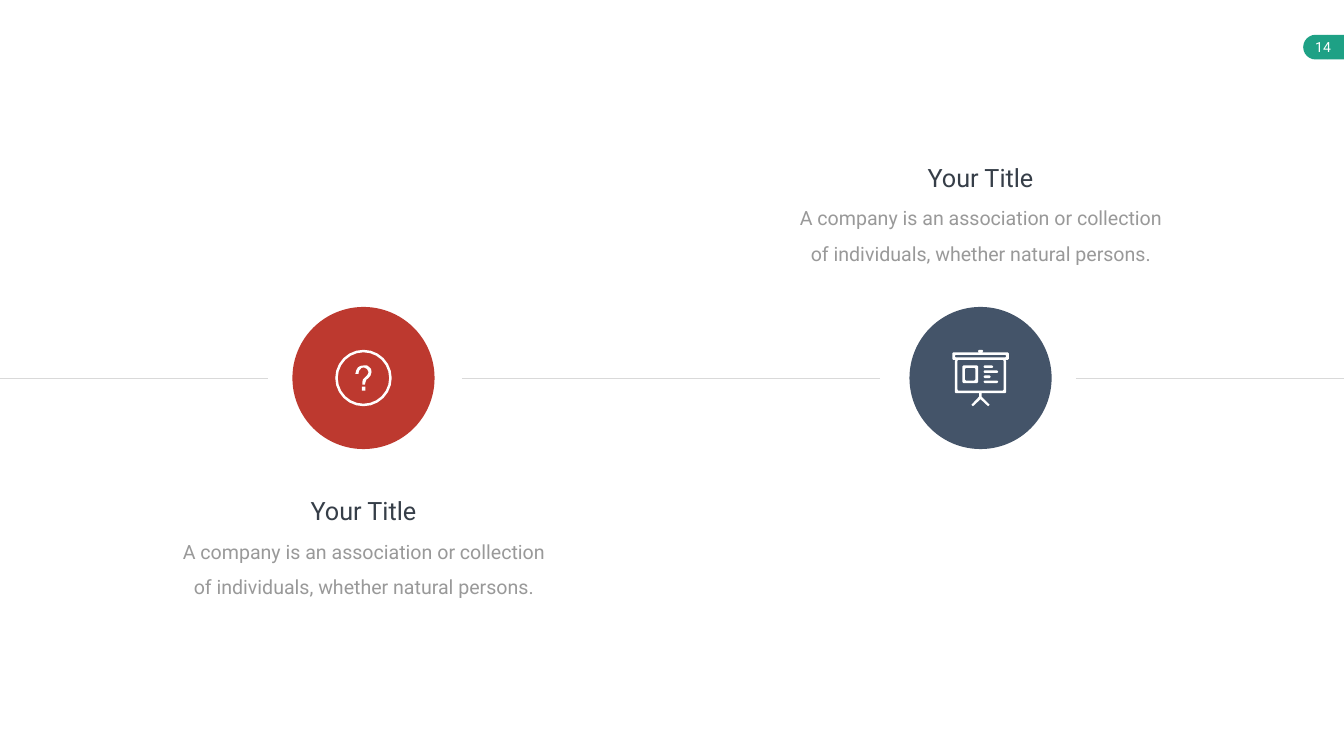
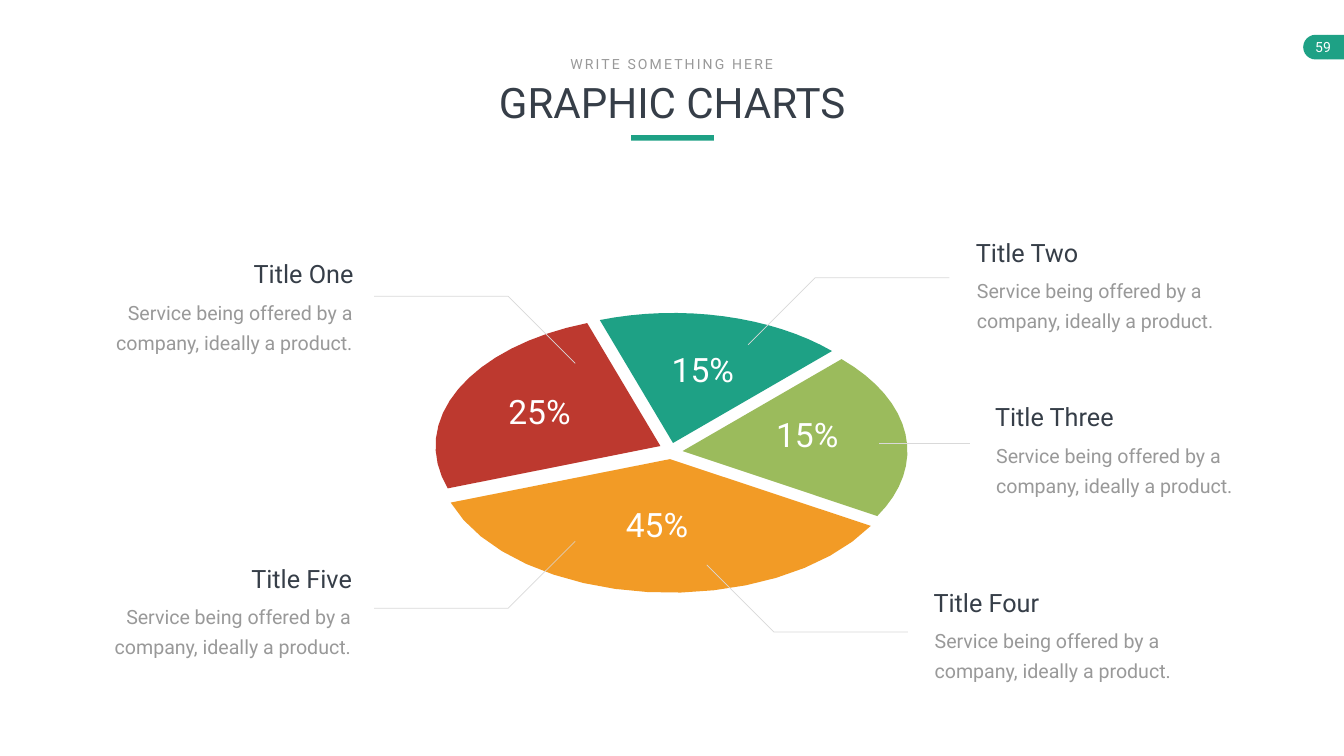
from math import cos, radians, sin

from pptx import Presentation
from pptx.dml.color import RGBColor
from pptx.enum.shapes import MSO_CONNECTOR, MSO_SHAPE as Shape
from pptx.enum.text import MSO_AUTO_SIZE as AutoSize, PP_ALIGN as Align
from pptx.oxml.ns import qn
from pptx.util import Inches, Pt
from lxml.etree import SubElement

# The grid has square cells of one inch; all places are columns and rows.
COLUMNS, ROWS = 26.66, 15
MIDDLE = ROWS / 2

GREEN, LIME, RED, ORANGE, SLATE = "1EA185", "9BBB5C", "BD392F", "F29B26", "445469"
INK, GREY, RULE, WHITE = "363E48", "999999", "D9D9D9", "FFFFFF"

BODY_INSETS = {"margin_left": Inches(0.24), "margin_right": Inches(0.24),
               "margin_top": Inches(0.12), "margin_bottom": Inches(0.12)}
PAGE_INSETS = {"margin_left": Inches(0.2), "margin_right": Inches(0.2),
               "margin_top": Inches(0.1), "margin_bottom": Inches(0.1)}

# Each style: size, colour, text frame values, paragraph values
STYLES = {
    "page number": (20, WHITE, {"word_wrap": False, **PAGE_INSETS}, {}),
    "headline": (60, INK, {}, {}),
    "kicker": (20, GREY, {"word_wrap": False}, {}),
    "title": (36, INK, {"word_wrap": False}, {}),
    "text": (28, GREY, {}, {"line_spacing": 1.5}),
    "callout": (28, GREY, BODY_INSETS, {"line_spacing": Pt(43)}),
    "share": (48, WHITE, {"word_wrap": False}, {}),
}


def paint(shape, fill=None, line=None):
    shape.shadow.inherit = False
    if fill:
        shape.fill.solid()
        shape.fill.fore_color.rgb = RGBColor.from_string(fill)
    else:
        shape.fill.background()
    if line:
        shape.line.color.rgb = RGBColor.from_string(line)
        shape.line.width = Pt(1)
    else:
        shape.line.fill.background()


def write(page, style, box, text, align=Align.CENTER):
    size, colour, frame_values, para_values = STYLES[style]
    frame = page.shapes.add_textbox(*map(Inches, box)).text_frame
    para = frame.paragraphs[0]
    span = para.add_run()
    span.text = text
    values = [
        (frame, {"word_wrap": True, "auto_size": AutoSize.SHAPE_TO_FIT_TEXT, **frame_values}),
        (para, {"alignment": align, **para_values}),
        (span.font, {"name": "Roboto", "size": Pt(size)}),
    ]
    for target, formats in values:
        for name, value in formats.items():
            setattr(target, name, value)
    span.font.color.rgb = RGBColor.from_string(colour)
    return span


deck = Presentation()
deck.slide_width, deck.slide_height = Inches(COLUMNS), Inches(ROWS)
timeline, pie = [deck.slides.add_slide(deck.slide_layouts[6]) for _ in range(2)]

# Page number tag at the right edge
for page, number in ((timeline, "14"), (pie, "59")):
    cap = page.shapes.add_shape(Shape.FLOWCHART_DELAY, *map(Inches, (25.85, 0.69, 0.49, 0.49)))
    cap.rotation = 180
    paint(cap, GREEN)
    tab = page.shapes.add_shape(Shape.RECTANGLE, *map(Inches, (26.34, 0.69, 0.32, 0.49)))
    paint(tab, GREEN)
    write(page, "page number", (25.79, 0.67, 0.91, 0.54), number)

# Straight lines: page, from, to, level, width
lines = [
    (timeline, 0, 5.32, MIDDLE, 0.5),
    (timeline, 9.16, 17.46, MIDDLE, 0.5),
    (timeline, 21.34, COLUMNS, MIDDLE, 0.5),
    (pie, 17.44, 19.25, 8.79, 1),
]

# Outlines: page, contours, fill, line colour
outlines = []

# Timeline icons, measured from the centre of their disc
question = [
    [(0.11, -0.22), (0.07, -0.25), (0.01, -0.25), (-0.06, -0.24), (-0.11, -0.21),
     (-0.14, -0.16), (-0.16, -0.09), (-0.16, -0.08), (-0.1, -0.08), (-0.09, -0.14),
     (-0.04, -0.2), (0.01, -0.21), (0.07, -0.18), (0.1, -0.12), (0.09, -0.08),
     (0.06, -0.04), (0.02, 0), (-0.01, 0.03), (-0.02, 0.07), (-0.02, 0.13),
     (0.03, 0.13), (0.04, 0.08), (0.06, 0.03), (0.1, 0), (0.14, -0.05),
     (0.16, -0.12), (0.15, -0.18), (0.11, -0.22)],
    [(-0.03, 0.17), (0.04, 0.17), (0.04, 0.25), (-0.03, 0.25), (-0.03, 0.17)],
]
for radius in (0.56, 0.51):
    question.append([(radius * cos(radians(angle)), radius * sin(radians(angle)))
                     for angle in (*range(0, 360, 15), 0)])

board = [[(-0.03, 0.3), (-0.03, 0.37), (-0.18, 0.53), (-0.15, 0.56), (0, 0.42),
          (0.15, 0.56), (0.18, 0.53), (0.02, 0.37), (0.02, 0.3), (-0.03, 0.3)]]
rail = [(-0.56, -0.51, 0.56, -0.36), (-0.51, -0.46, 0.51, -0.41), (-0.05, -0.56, 0.05, -0.51)]
screen = [(-0.51, -0.36, 0.51, 0.3), (-0.46, -0.36, 0.46, 0.25)]
panel = [(-0.36, -0.25, -0.05, 0.1), (-0.31, -0.2, -0.1, 0.05)]
notes = [(0.06, -0.25 + 0.1 * row, right, -0.2 + 0.1 * row)
         for row, right in enumerate((0.25, 0.35, 0.2, 0.35))]
CUT = 0.02
for left, top, right, bottom in rail + screen + panel + notes:
    board.append([(left + CUT, top), (right - CUT, top), (right, top + CUT),
                  (right, bottom - CUT), (right - CUT, bottom), (left + CUT, bottom),
                  (left, bottom - CUT), (left, top + CUT), (left + CUT, top)])

DISC = 2.82
steps = [(7.21, RED, question, 9.78), (19.45, SLATE, board, 3.17)]
for centre, colour, icon, top in steps:
    disc = timeline.shapes.add_shape(Shape.OVAL, Inches(centre - DISC / 2),
                                     Inches(MIDDLE - DISC / 2), Inches(DISC), Inches(DISC))
    paint(disc, colour)
    write(timeline, "text", (centre - 3.69, top + 0.64, 7.39, 1.43),
          "A company is an association or collection of individuals, whether natural persons.")
    write(timeline, "title", (centre - 1.19, top, 2.38, 0.71), "Your Title")
    contours = [[(centre + x, MIDDLE + y) for x, y in contour] for contour in icon]
    outlines.append((timeline, contours, WHITE, None))

# Pie: heading
underline = pie.shapes.add_shape(Shape.RECTANGLE, *map(Inches, (12.52, 2.68, 1.64, 0.11)))
paint(underline, GREEN)
write(pie, "headline", (7.1, 1.47, 12.47, 1.11), "GRAPHIC CHARTS")
kicker = write(pie, "kicker", (11.15, 1.05, 4.35, 0.44), "WRITE SOMETHING HERE")
kicker._r.get_or_add_rPr().set("spc", "300")

# Slices: tip, radii, angles from and to, colour
slices = [
    ((13.35, 8.79), (4.46, 2.58), (45, 109), GREEN),
    ((13.54, 8.95), (4.46, 2.58), (-30, 45), LIME),
    ((13.1, 8.85), (4.46, 2.58), (109, 199), RED),
    ((13.29, 9.11), (4.6, 2.65), (199, 330), ORANGE),
]
ARC_STEPS = 16
for (x, y), (wide, high), (start, end), colour in slices:
    angles = [radians(start + (end - start) * step / ARC_STEPS) for step in range(ARC_STEPS + 1)]
    arc = [(x + wide * cos(angle), y - high * sin(angle)) for angle in angles]
    outlines.append((pie, [[(x, y), *arc, (x, y)]], colour, None))

# Leaders run diagonally out of a slice and then level towards a callout
BEND = 1.33
leaders = [(14.84, 6.84, 1, -1), (11.41, 7.21, -1, -1),
           (14.02, 11.21, 1, 1), (11.41, 10.74, -1, 1)]
for x, y, across, down in leaders:
    level = y + BEND * down
    leader = [(x, y), (x + BEND * across, level), (x + 3 * BEND * across, level)]
    outlines.append((pie, [leader], None, RULE))

for page, contours, fill, line in outlines:
    contours = [[(Inches(x), Inches(y)) for x, y in contour] for contour in contours]
    builder = page.shapes.build_freeform(*contours[0][0])
    for contour in contours:
        if contour is not contours[0]:
            builder.move_to(*contour[0])
        closed = contour[0] == contour[-1]
        builder.add_line_segments(contour[1:-1] if closed else contour[1:], close=closed)
    paint(builder.convert_to_shape(), fill, line)

for page, start, end, level, width in lines:
    rule = page.shapes.add_connector(MSO_CONNECTOR.STRAIGHT, Inches(start), Inches(level),
                                     Inches(end), Inches(level))
    rule.line.color.rgb = RGBColor.from_string(RULE)
    rule.line.width = Pt(width)
    SubElement(rule._element.spPr, qn("a:effectLst"))

# Callouts: title, left, top, title width, alignment
callouts = [
    ("Title Two", 19.26, 4.66, 2.28, Align.LEFT),
    ("Title One", 4.89, 5.08, 2.22, Align.RIGHT),
    ("Title Three", 19.64, 7.92, 2.61, Align.LEFT),
    ("Title Four", 18.42, 11.6, 2.37, Align.LEFT),
    ("Title Five", 4.81, 11.12, 2.27, Align.RIGHT),
]
for title, left, top, width, align in callouts:
    write(pie, "title", (left, top, width, 0.71), title, align)
    body_width = 5.24 if align == Align.LEFT else 5.39
    body_left = left - 0.12 if align == Align.LEFT else left + width + 0.12 - body_width
    write(pie, "callout", (body_left, top + 0.63, body_width, 1.39),
          "Service being offered by a company, ideally a product.", align)

shares = [("45%", 12.29, 9.94), ("15%", 15.27, 8.16), ("15%", 13.2, 6.87), ("25%", 9.96, 7.71)]
for share, left, top in shares:
    write(pie, "share", (left, top, 1.46, 0.91), share, Align.RIGHT)

deck.save("out.pptx")
